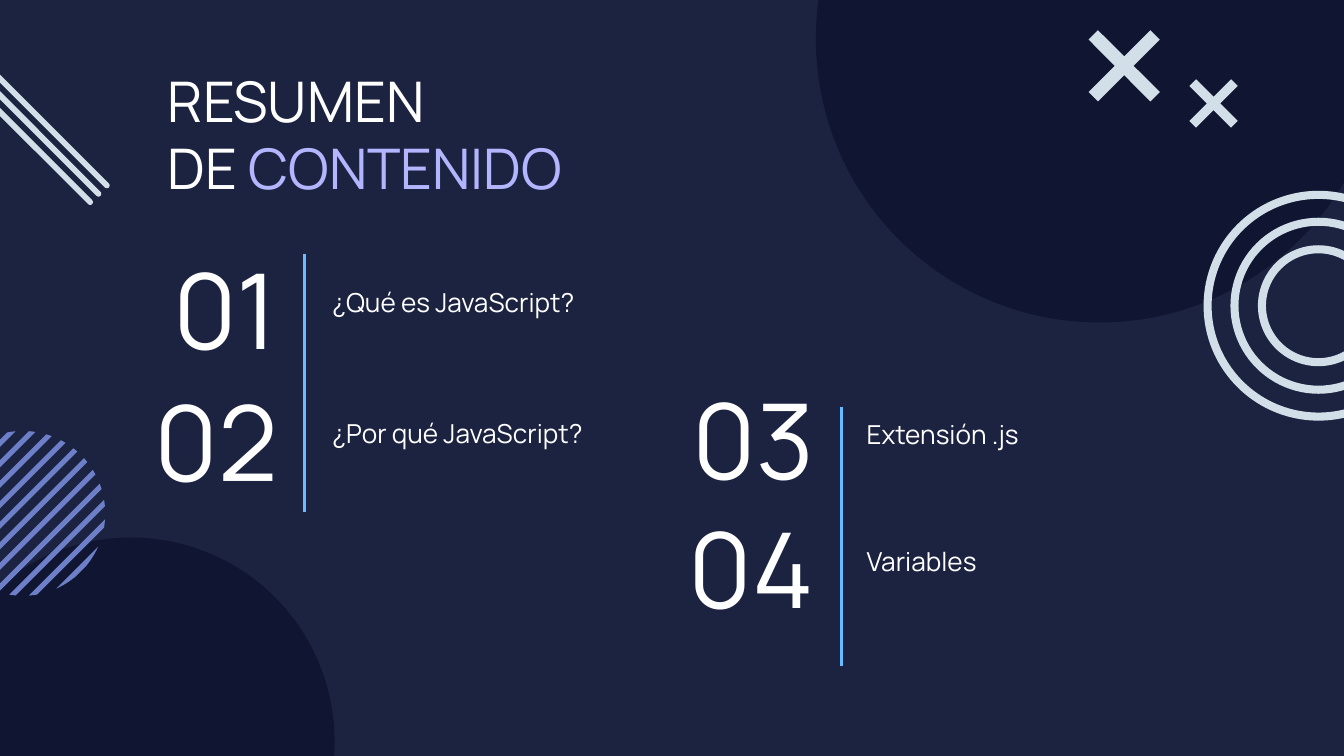
import math

import pptx
import pptx.dml.color
import pptx.enum.shapes
import pptx.enum.text
import pptx.oxml
import pptx.util

RGBColor = pptx.dml.color.RGBColor
Shapes = pptx.enum.shapes.MSO_SHAPE
Align = pptx.enum.text.PP_ALIGN
Anchor = pptx.enum.text.MSO_ANCHOR

NIGHT = RGBColor(0x1C, 0x23, 0x40)
DEEP = RGBColor(0x10, 0x16, 0x32)
WHITE = RGBColor(0xFF, 0xFF, 0xFF)
LILAC = RGBColor(0xB3, 0xB5, 0xFF)
PERIWINKLE = RGBColor(0x6D, 0x7F, 0xC9)
MIST = RGBColor(0xD2, 0xDF, 0xE9)
SKY = RGBColor(0x67, 0xBB, 0xFF)

WIDTH, COLUMNS = 10, 100
HEIGHT, ROWS = WIDTH * 9 / 16, COLUMNS * 9 / 16


def write(box, lines, size=14, align=Align.LEFT, anchor=Anchor.TOP, font="Manrope"):
    frame = box.text_frame
    frame.word_wrap = True
    frame.vertical_anchor = anchor
    for side in ("left", "top", "right", "bottom"):
        setattr(frame, f"margin_{side}", pptx.util.Inches(0.1))
    for index, line in enumerate(lines):
        para = frame.add_paragraph() if index else frame.paragraphs[0]
        para.alignment = align
        for text, color in line:
            span = para.add_run()
            span.text = text
            span.font.name = font
            span.font.size = pptx.util.Pt(size)
            span.font.color.rgb = color


class Board:
    """Style and current slide, measured in grid columns and rows."""

    def __init__(self, deck):
        self.page = deck.slides.add_slide(deck.slide_layouts[6])
        self.page.background.fill.solid()
        self.page.background.fill.fore_color.rgb = NIGHT
        self.column = deck.slide_width / COLUMNS
        self.row = deck.slide_height / ROWS

    def place(self, column, row):
        return round(column * self.column), round(row * self.row)

    def paint(self, shape, color):
        shape.shadow.inherit = False
        shape.fill.solid()
        shape.fill.fore_color.rgb = color
        shape.line.fill.background()
        return shape

    def centred(self, kind, column, row, width, height, color):
        corner = self.place(column - width / 2, row - height / 2)
        shape = self.page.shapes.add_shape(kind, *corner, *self.place(width, height))
        return self.paint(shape, color)

    def disc(self, column, row, size):
        self.centred(Shapes.OVAL, column, row, size, size, DEEP)

    def ring(self, column, row, size, band):
        ring = self.centred(Shapes.DONUT, column, row, size, size, MIST)
        ring.adjustments[0] = band / size

    def bar(self, column, row, length, thickness):
        bar = self.centred(Shapes.ROUNDED_RECTANGLE, column, row, length, thickness, MIST)
        bar.adjustments[0] = 0.5
        bar.rotation = 45

    def polygon(self, points, color):
        points = [self.place(*point) for point in points]
        builder = self.page.shapes.build_freeform(*points[0], scale=1.0)
        builder.add_line_segments(points[1:], close=True)
        self.paint(builder.convert_to_shape(), color)

    def cross(self, column, row, size, arm):
        half = size / 2
        quarter = [(arm - half, -half), (0, -arm), (half - arm, -half)]
        points = []
        for _ in range(4):
            points += [(column + x, row + y) for x, y in quarter]
            quarter = [(-y, x) for x, y in quarter]
        self.polygon(points, MIST)

    def striped_disc(self, column, row, radius, first, pitch, band, count, steps=6):
        for stripe in range(count):
            start = first + stripe * pitch
            end = min(start + band, radius)
            offsets = [start + (end - start) * step / steps for step in range(steps + 1)]
            edges = []
            for side, order in ((1, offsets), (-1, offsets[::-1])):
                for offset in order:
                    half = side * math.sqrt(radius**2 - offset**2)
                    edges.append((column + (offset + half) / math.sqrt(2),
                                  row + (offset - half) / math.sqrt(2)))
            self.polygon(edges, PERIWINKLE)

    def rule(self, column, top, bottom):
        line = self.page.shapes.add_connector(
            pptx.enum.shapes.MSO_CONNECTOR.STRAIGHT,
            *self.place(column, top), *self.place(column, bottom))
        line.line.color.rgb = SKY
        line.line.width = pptx.util.Pt(1.5)
        line._element.spPr.append(pptx.oxml.parse_xml(
            '<a:effectLst xmlns:a="http://schemas.openxmlformats.org/drawingml/2006/main"/>'))

    def text(self, column, row, width, height, lines, **style):
        box = self.page.shapes.add_textbox(*self.place(column, row), *self.place(width, height))
        write(box, lines, **style)

    def topic(self, column, number_row, label_column, label_row, number, label):
        self.text(column, number_row, 14.5, 2.6, [[(number, WHITE)]],
                  size=56, align=Align.RIGHT, anchor=Anchor.MIDDLE)
        self.text(label_column, label_row, 25.7, 4.4, [[(label, WHITE)]])


deck = pptx.Presentation()
deck.slide_width = pptx.util.Inches(WIDTH)
deck.slide_height = pptx.util.Inches(HEIGHT)
board = Board(deck)

board.disc(9.75, 55.15, 30.3)
board.disc(81.8, 2.9, 42.2)
board.striped_disc(1.7, 38.2, 6.13, first=-5.08, pitch=1.08, band=0.38, count=11)
for ring_size in (17.1, 13.1, 9):
    board.ring(98.1, 22.75, ring_size, 0.6)
for shift in range(3):
    board.bar(2.3 - 0.62 * shift, 8.15 + 0.62 * shift, 16.4, 0.42)
board.cross(90.3, 7.7, 3.6, 0.5)
board.cross(83.65, 4.9, 5.3, 0.7)

board.text(11.5, 3.95, 40.5, 9.8,
           [[("RESUMEN", WHITE)], [("DE ", WHITE), ("CONTENIDO", LILAC)]], size=30)
TOPICS = (
    (7.15, 21.6, 23.75, 20.3, "01", "¿Qué es JavaScript?"),
    (7.15, 31.4, 23.75, 30.05, "02", "¿Por qué JavaScript?"),
    (47.05, 31.3, 63.5, 30.15, "03", "Extensión .js"),
    (47.05, 40.9, 63.5, 39.6, "04", "Variables"),
)
for topic in TOPICS:
    board.topic(*topic)
for rule_column, rule_top in ((22.67, 18.87), (62.6, 30.3)):
    board.rule(rule_column, rule_top, rule_top + 19.25)

deck.save("out.pptx")
